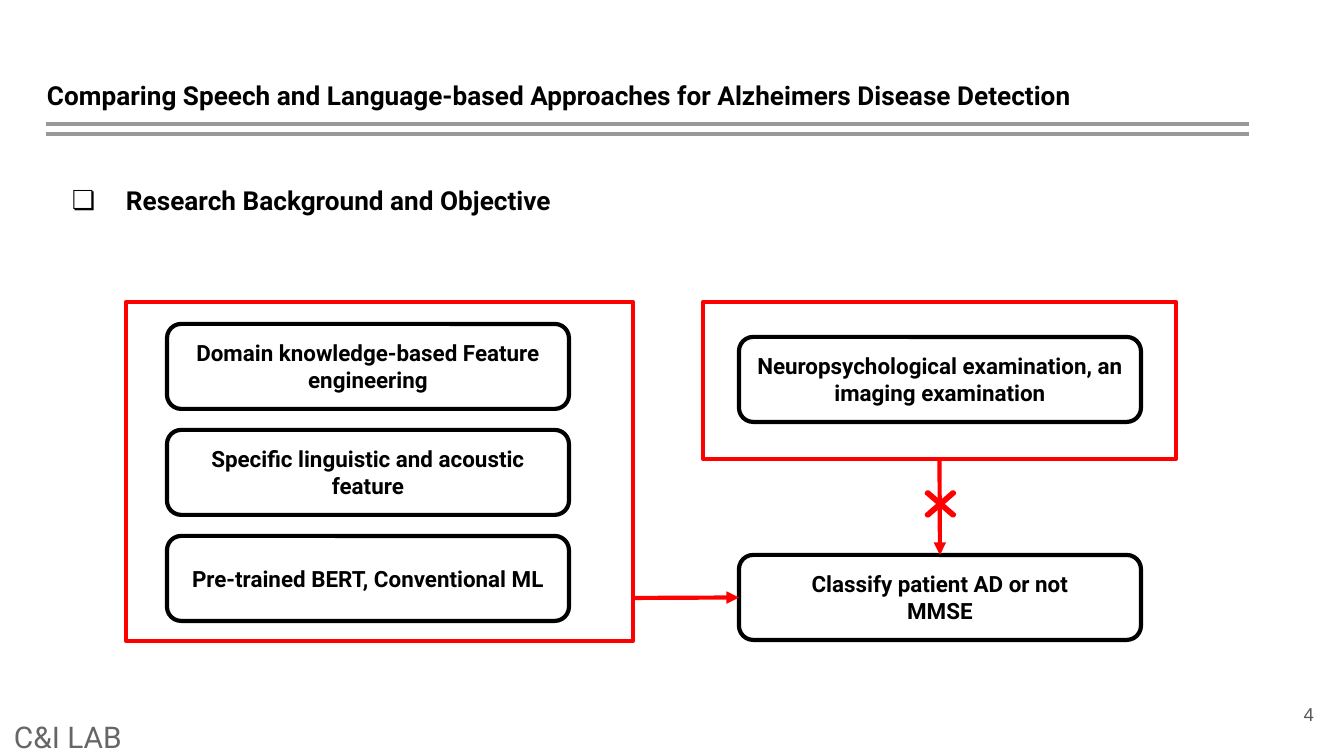
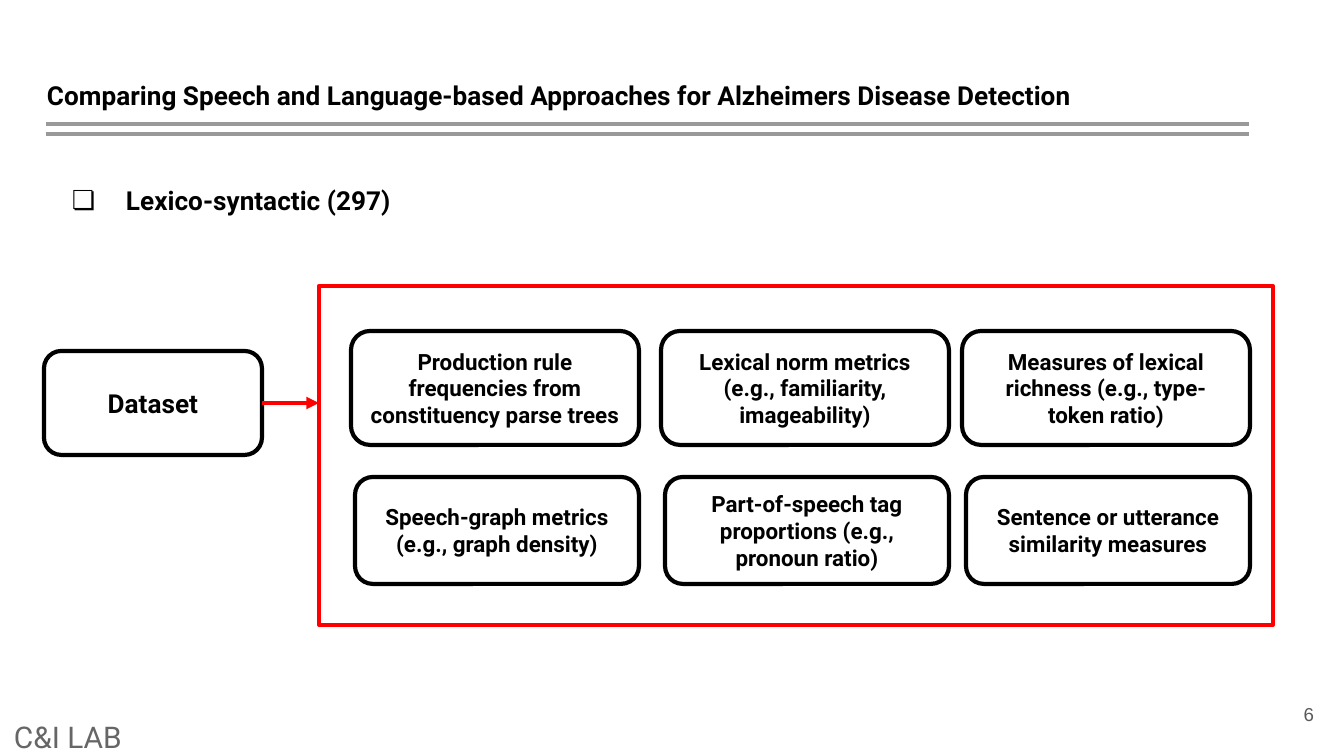
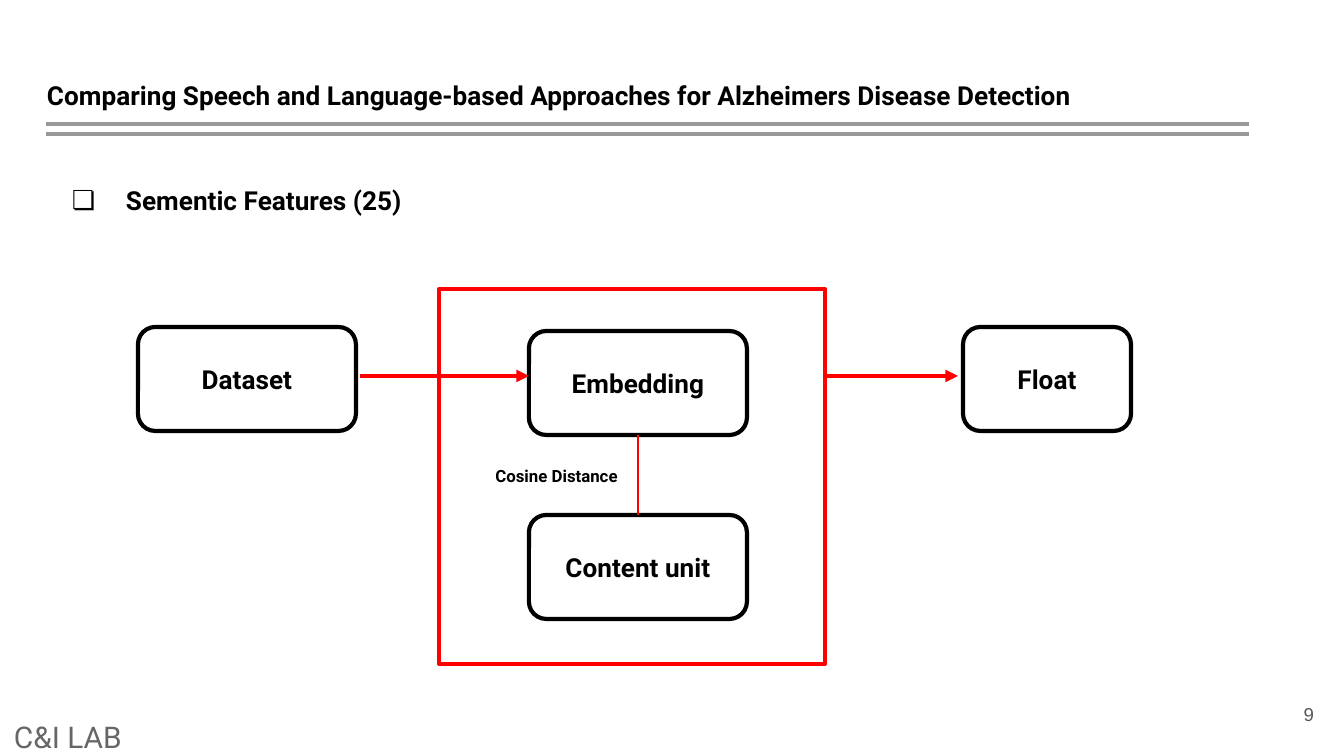
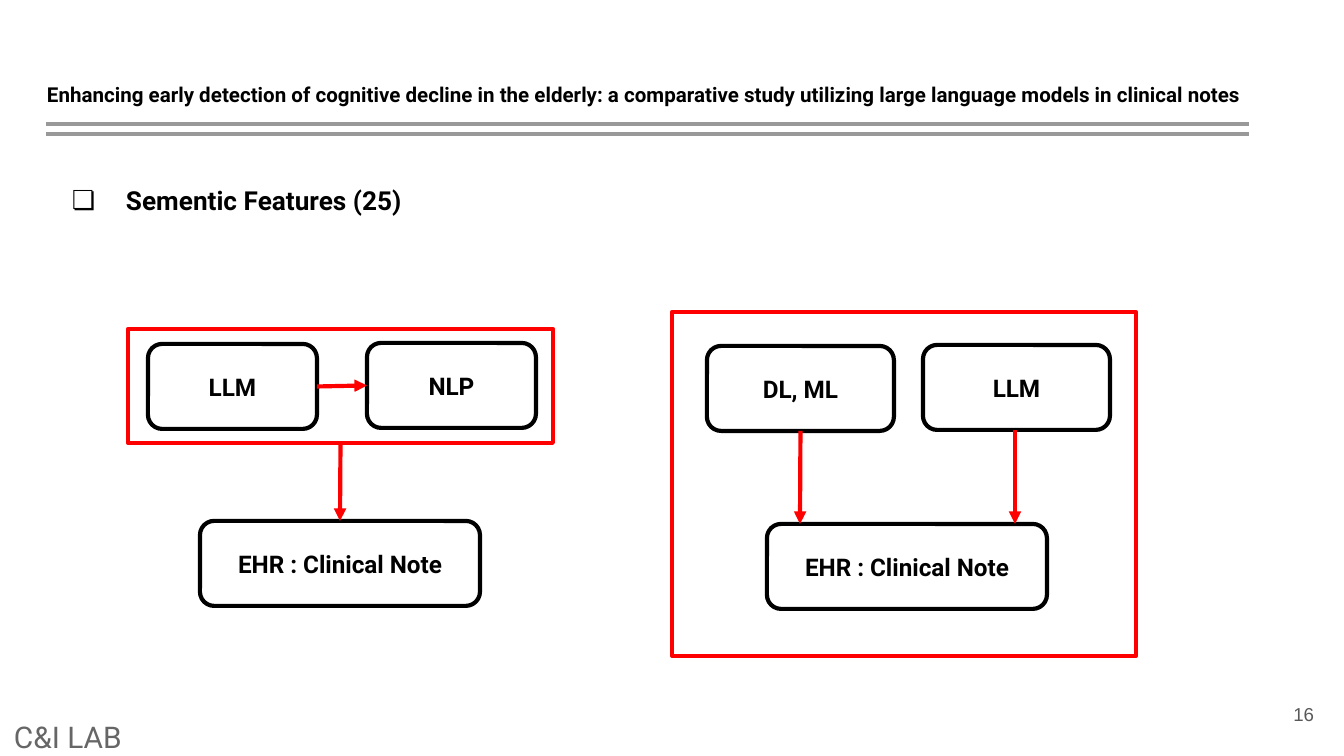
from itertools import product

from lxml.etree import SubElement
from pptx import Presentation
from pptx.dml.color import RGBColor
from pptx.enum.shapes import MSO_CONNECTOR as Conn, MSO_SHAPE as Shape
from pptx.enum.text import MSO_ANCHOR as Anchor, PP_ALIGN as Align
from pptx.oxml.ns import qn
from pptx.util import Pt

SCALE = 914400 / 134.4
BLACK = RGBColor(0, 0, 0)
RED = RGBColor(255, 0, 0)
RULE = RGBColor(0x99, 0x99, 0x99)
LAB = RGBColor(0x66, 0x66, 0x66)
PAGE = RGBColor(0x59, 0x59, 0x59)
INSET = 13


def px(*nums):
    return [round(n * SCALE) for n in nums]


def link(slide, start, end, color, width=2.25, arrow=False):
    line = slide.shapes.add_connector(Conn.STRAIGHT, *px(*start, *end))
    line.line.color.rgb = color
    line.line.width = Pt(width)
    if arrow:
        SubElement(line.line._get_or_add_ln(), qn("a:tailEnd"), type="triangle")
    SubElement(line._element.spPr, qn("a:effectLst"))
    return line


SPEECH = "Comparing Speech and Language-based Approaches for Alzheimers Disease Detection"
NOTES = (
    "Enhancing early detection of cognitive decline in the elderly: "
    "a comparative study utilizing large language models in clinical notes"
)

steps = [
    "Domain knowledge-based Feature engineering",
    "Specific linguistic and acoustic feature",
    "Pre-trained BERT, Conventional ML",
]
goal = [
    (167, 324 + 106 * i, 402, 85, step, 12) for i, step in enumerate(steps)
] + [
    (739, 555, 402, 85, "Classify patient AD or not\nMMSE", 12),
    (739, 337, 402, 85, "Neuropsychological examination, an imaging examination", 12),
]

grid = [
    (351, "Production rule frequencies from constituency parse trees",
     "Speech-graph metrics (e.g., graph density)"),
    (661, "Lexical norm metrics (e.g., familiarity, imageability)",
     "Part-of-speech tag proportions (e.g., pronoun ratio)"),
    (962, "Measures of lexical richness (e.g., type-token ratio)",
     "Sentence or utterance similarity measures"),
]
lexis = [(44, 351, 218, 104, "Dataset", 14)]
for x, upper, lower in grid:
    lexis += [(x, 331, 288, 114, upper, 12), (x + 4, 477, 284, 107, lower, 12)]

sense = [
    (138, 327, 218, 104, "Dataset", 14),
    (529, 331, 218, 104, "Embedding", 14),
    (529, 515, 218, 104, "Content unit", 14),
    (963, 327, 168, 104, "Float", 14),
    (453, 440, 207, 71, "Cosine Distance", 9),
]

models = [
    (148, 344, 169, 85, "LLM", 13),
    (367, 343, 169, 85, "NLP", 13),
    (200, 521, 280, 85, "EHR : Clinical Note", 13),
    (707, 346, 187, 85, "DL, ML", 13),
    (923, 345, 187, 85, "LLM", 13),
    (767, 524, 280, 85, "EHR : Clinical Note", 13),
]

pages = [
    ("4", SPEECH, 14, 66, "Research Background and Objective", goal,
     [(126, 302, 507, 339), (703, 302, 473, 157)],
     [((633, 598), (739, 598)), ((939, 459), (940, 555))]),
    ("6", SPEECH, 14, 66, "Lexico-syntactic (297)", lexis,
     [(319, 286, 954, 339)],
     [((262, 403), (319, 403))]),
    ("9", SPEECH, 14, 66, "Sementic Features (25)", sense,
     [(439, 289, 386, 375)],
     [((360, 376), (529, 376)), ((825, 376), (958, 376)),
      ((638, 435), (638, 515), 1.5, False)]),
    ("16", NOTES, 11, 70, "Sementic Features (25)", models,
     [(128, 329, 425, 114), (672, 312, 464, 344)],
     [((317, 386), (367, 386)), ((340, 443), (340, 521)),
      ((801, 431), (800, 524)), ((1015, 430), (1015, 524))]),
]

deck = Presentation()
deck.slide_width, deck.slide_height = px(1344, 756)

for number, title, size, top, topic, boxes, frames, links in pages:
    slide = deck.slides.add_slide(deck.slide_layouts[6])

    labels = [
        ((46, 167, 613, 85), topic, 14, "Roboto", BLACK, Align.LEFT, Anchor.TOP),
        ((34, top, 1253, 85), title, size, "Roboto", BLACK, Align.LEFT, Anchor.TOP),
        ((1246, 685, 81, 58), number, 10, "Arial", PAGE, Align.RIGHT, Anchor.MIDDLE),
        ((1, 718, 1344, 38), "C&I LAB", 16, "Roboto", LAB, Align.LEFT, Anchor.MIDDLE),
    ]
    for area, text, points, face, color, align, anchor in labels:
        frame = slide.shapes.add_textbox(*px(*area)).text_frame
        frame.word_wrap = True
        frame.vertical_anchor = anchor
        frame.margin_left, frame.margin_top = px(INSET, INSET)
        frame.margin_right, frame.margin_bottom = px(INSET, INSET)
        para = frame.paragraphs[0]
        para.alignment = align
        if text == topic:
            props = para._p.get_or_add_pPr()
            margin, indent = px(67, -54)
            props.set("marL", str(margin))
            props.set("indent", str(indent))
            tint = SubElement(props, qn("a:buClr"))
            SubElement(tint, qn("a:srgbClr"), val=str(BLACK))
            SubElement(props, qn("a:buFont"), typeface="Roboto")
            SubElement(props, qn("a:buChar"), char="❏")
            para.line_spacing = 1.15
        run = para.add_run()
        run.text = text
        run.font.name = face
        run.font.size = Pt(points)
        run.font.bold = color == BLACK
        run.font.color.rgb = color

    for y in (124, 134):
        link(slide, (46, y), (1249, y), RULE)

    joints = []
    for x, y, w, h, text, points in boxes + [(*area, "", 0) for area in frames]:
        kind = Shape.ROUNDED_RECTANGLE if text else Shape.RECTANGLE
        box = slide.shapes.add_shape(kind, *px(x, y, w, h))
        box.shadow.inherit = False
        box.fill.background()
        if text == "Cosine Distance":
            box.line.fill.background()
        else:
            box.line.color.rgb = BLACK if text else RED
            box.line.width = Pt(2.25)
            sides = [(x + w / 2, y), (x, y + h / 2), (x + w / 2, y + h), (x + w, y + h / 2)]
            joints += [(box, site, spot) for site, spot in enumerate(sides)]
        if text:
            frame = box.text_frame
            frame.word_wrap = True
            frame.vertical_anchor = Anchor.MIDDLE
            for i, words in enumerate(text.split("\n")):
                para = frame.add_paragraph() if i else frame.paragraphs[0]
                para.alignment = Align.CENTER
                run = para.add_run()
                run.text = words
                run.font.name = "Roboto"
                run.font.size = Pt(points)
                run.font.bold = True
                run.font.color.rgb = BLACK

    for start, end, *style in links:
        width, arrow = style or (2.25, True)
        line = link(slide, start, end, RED, width, arrow)
        ends = ((start, line.begin_connect), (end, line.end_connect))
        for (point, join), (box, site, spot) in product(ends, joints):
            if max(abs(point[0] - spot[0]), abs(point[1] - spot[1])) <= 1:
                join(box, site)

    if boxes is goal:
        cross = slide.shapes.add_shape(Shape.MATH_MULTIPLY, *px(915, 482, 51, 44))
        cross.shadow.inherit = False
        cross.adjustments[0] = 0.043
        cross.fill.solid()
        cross.fill.fore_color.rgb = RED
        cross.line.color.rgb = RED
        cross.line.width = Pt(2)

deck.save("out.pptx")
